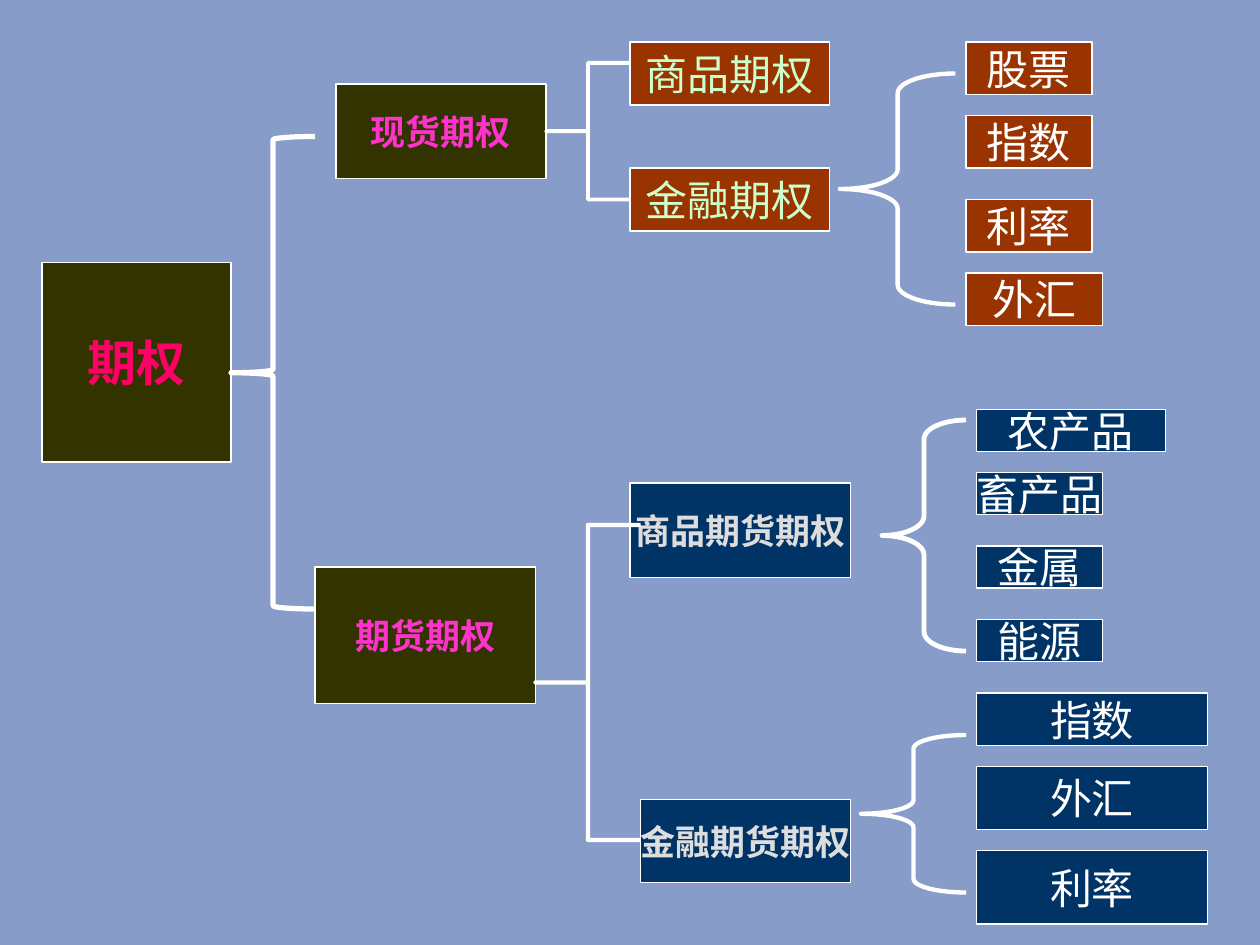
"""Build a slide that charts the family tree of options."""
from dataclasses import dataclass

from pptx import Presentation
from pptx.dml.color import RGBColor
from pptx.enum import shapes, text
from pptx.util import Pt


@dataclass(frozen=True)
class Theme:
    font: str = "Times New Roman"
    background: str = "879CC8"
    white: str = "FFFFFF"
    olive: str = "333300"
    rust: str = "993300"
    navy: str = "003366"
    red: str = "FF0066"
    pink: str = "FF33CC"
    mint: str = "CCFFCC"
    silver: str = "DDDDDD"
    root_size: int = 28
    branch_size: int = 20
    leaf_size: int = 24
    outline: float = 0.75


THEME = Theme()


def paint(fill, colour):
    """Give a fill one solid colour."""
    fill.solid()
    fill.fore_color.rgb = RGBColor.from_string(colour)


def add_shape(slide, preset, bounds, line_width):
    """Add a preset shape with a white outline and no shadow."""
    shape = slide.shapes.add_shape(preset, *map(Pt, bounds))
    shape.shadow.inherit = False
    paint(shape.line.fill, THEME.white)
    shape.line.width = Pt(line_width)
    return shape


def add_node(slide, label, bounds, fill, colour, size, bold=False):
    """Add a labelled box of the tree."""
    node = add_shape(slide, shapes.MSO_SHAPE.RECTANGLE, bounds, THEME.outline)
    paint(node.fill, fill)
    frame = node.text_frame
    frame.word_wrap = False
    frame.vertical_anchor = text.MSO_ANCHOR.MIDDLE
    paragraph = frame.paragraphs[0]
    paragraph.text = label
    paragraph.alignment = text.PP_ALIGN.CENTER
    font = paragraph.font
    font.name, font.size, font.bold = THEME.font, Pt(size), bold
    font.color.rgb = RGBColor.from_string(colour)


def add_leaves(slide, left, fill, leaves):
    """Add a column of leaf boxes that share a left edge and a fill."""
    for label, top, width, height in leaves:
        add_node(slide, label, (left, top, width, height), fill, THEME.white, THEME.leaf_size)


def add_brace(slide, bounds, line_width, curve):
    """Add a left brace whose curve is a share of its shorter side."""
    brace = add_shape(slide, shapes.MSO_SHAPE.LEFT_BRACE, bounds, line_width)
    brace.fill.background()
    brace.adjustments[0] = curve
    brace.adjustments[1] = 0.5


def add_branches(slide):
    """Add the root, its two branches and their subdivisions."""
    branch, leaf = THEME.branch_size, THEME.leaf_size
    add_node(slide, "期权", (24, 150, 108, 114), THEME.olive, THEME.red, THEME.root_size, True)
    add_node(slide, "现货期权", (192, 48, 120, 54), THEME.olive, THEME.pink, branch, True)
    add_node(slide, "期货期权", (180, 324, 126, 78), THEME.olive, THEME.pink, branch, True)
    add_node(slide, "商品期权", (360, 24, 114, 36), THEME.rust, THEME.mint, leaf)
    add_node(slide, "金融期权", (360, 96, 114, 36), THEME.rust, THEME.mint, leaf)
    add_node(slide, "商品期货期权", (360, 276, 126, 54), THEME.navy, THEME.silver, branch, True)
    add_node(slide, "金融期货期权", (366, 457, 120, 47.5), THEME.navy, THEME.silver, branch, True)


def main():
    """Build and save the slide."""
    deck = Presentation()
    deck.slide_width, deck.slide_height = Pt(720), Pt(540)
    slide = deck.slides.add_slide(deck.slide_layouts[6])
    paint(slide.background.fill, THEME.background)

    add_branches(slide)
    add_leaves(slide, 552, THEME.rust, [
        ("股票", 24, 72, 30), ("指数", 66, 72, 30), ("利率", 114, 72, 30), ("外汇", 156, 78, 30),
    ])
    add_leaves(slide, 558, THEME.navy, [
        ("农产品", 234, 108, 24), ("畜产品", 270, 72, 24), ("金属", 312, 72, 24), ("能源", 354, 72, 24),
        ("指数", 396, 132, 30), ("外汇", 438, 132, 36), ("利率", 486, 132, 42),
    ])

    for bounds, line_width, curve in [
        ((132, 78, 48, 270), 3, 0.04),
        ((312, 36, 48, 78), 2.25, 0),
        ((306, 300, 60, 180), 2.5, 0),
        ((480, 42, 66, 132), 2.5, 0.17),
        ((504, 240, 48, 132), 2.75, 0.23),
        ((492, 420, 60, 90), 2.5, 0.13),
    ]:
        add_brace(slide, bounds, line_width, curve)

    deck.save("out.pptx")


if __name__ == "__main__":
    main()
